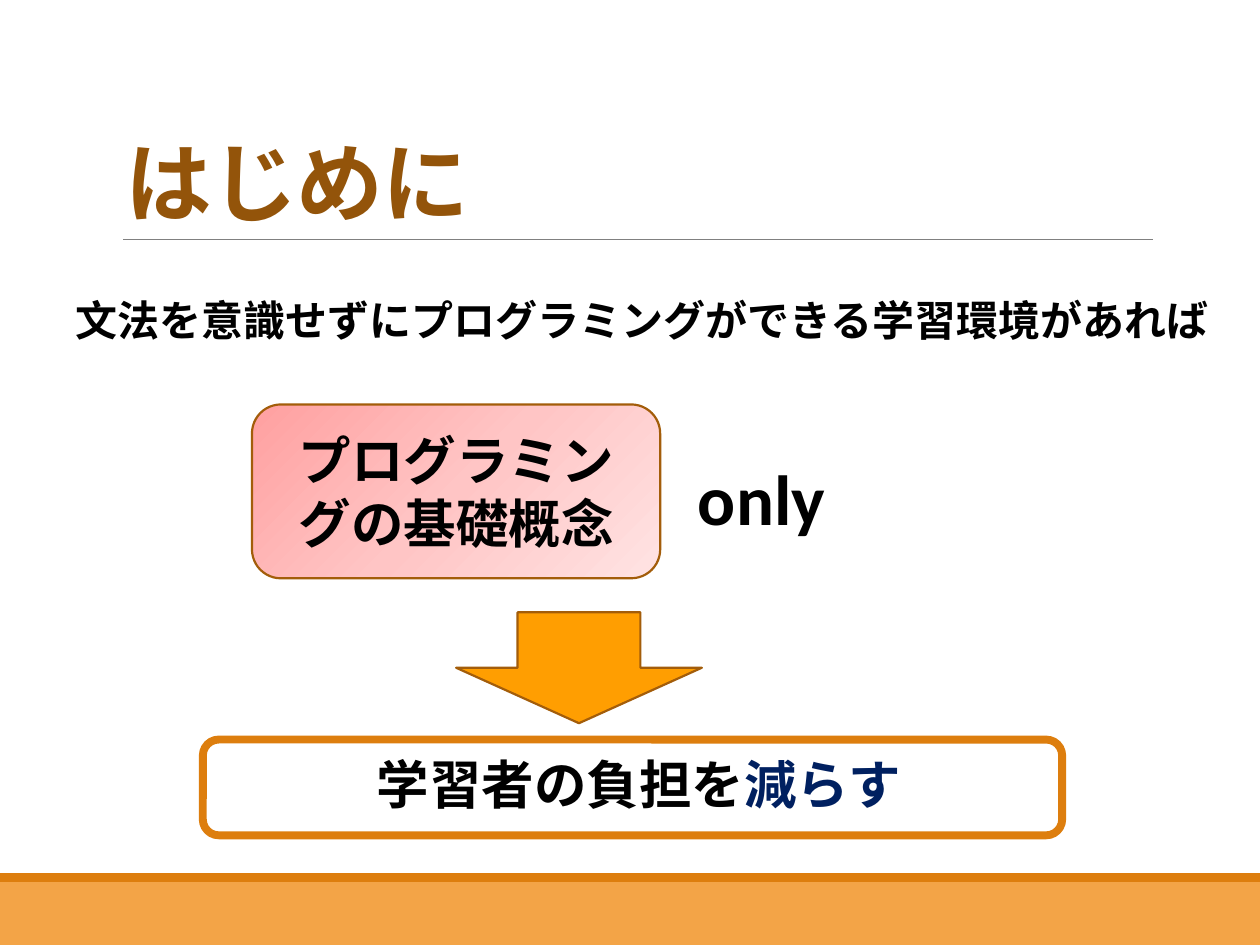
from copy import deepcopy
from typing import NamedTuple

from lxml.etree import SubElement
from pptx import Presentation
from pptx.dml.color import RGBColor
from pptx.enum.shapes import MSO_CONNECTOR, MSO_SHAPE as Shape
from pptx.enum.text import MSO_ANCHOR as Anchor, PP_ALIGN as Align
from pptx.oxml.ns import qn
from pptx.util import Inches, Pt

FONT = "Calibri"
BLACK, BROWN, ORANGE, NAVY = "000000", "A35D0A", "DD7E0E", "002060"


class Box(NamedTuple):
    left: float
    top: float
    width: float
    height: float


def rgb(value: str) -> RGBColor:
    return RGBColor.from_string(value)


def add_shape(s, kind, box: Box, fill=None, line=None, line_width=1.25):
    sp = s.shapes.add_shape(kind, *map(Inches, box))
    sp.shadow.inherit = False
    if fill:
        sp.fill.solid()
        sp.fill.fore_color.rgb = rgb(fill)
    if line:
        sp.line.color.rgb = rgb(line)
        sp.line.width = Pt(line_width)
    else:
        sp.line.fill.background()
    return sp


def set_gradient(sp, colors: list[str], angle: float) -> None:
    """Spread the colours evenly; the angle runs clockwise."""
    sp.fill.gradient()
    sp.fill.gradient_angle = 360 - angle
    first, last = sp.fill.gradient_stops
    stop_list = sp.fill._fill._gradFill.gsLst
    while len(stop_list) < len(colors):
        stop_list.insert(1, deepcopy(stop_list[0]))
    for i, (stop, color) in enumerate(zip(sp.fill.gradient_stops, colors)):
        stop.color.rgb = rgb(color)
        stop.position = i / (len(colors) - 1)


def write(sp, *runs: tuple[str, str], size, align=Align.LEFT, anchor=Anchor.MIDDLE,
          line_spacing=1.0, insets=(0.1, 0.05, 0.1, 0.05), wrap=True, tracking=0):
    """Fill a shape with one paragraph of (text, colour) runs."""
    tf = sp.text_frame
    tf.word_wrap = wrap
    tf.vertical_anchor = anchor
    (tf.margin_left, tf.margin_top,
     tf.margin_right, tf.margin_bottom) = map(Inches, insets)
    p = tf.paragraphs[0]
    p.alignment = align
    p.line_spacing = line_spacing
    for text, color in runs:
        r = p.add_run()
        r.text = text
        r.font.name = FONT
        r.font.size = Pt(size)
        r.font.bold = True
        r.font.color.rgb = rgb(color)
        if tracking:
            r.font._element.set("spc", str(int(tracking * 100)))


def add_text(s, box: Box, text: str, color=BLACK, **text_format) -> None:
    write(s.shapes.add_textbox(*map(Inches, box)), (text, color), **text_format)


def add_rule(s, left: float, right: float, y: float) -> None:
    rule = s.shapes.add_connector(MSO_CONNECTOR.STRAIGHT, Inches(left), Inches(y),
                                  Inches(right), Inches(y))
    rule.line.color.rgb = rgb("808080")
    rule.line.width = Pt(0.5)
    SubElement(rule._element.spPr, qn("a:effectLst"))


def main() -> None:
    prs = Presentation()
    prs.slide_width, prs.slide_height = Inches(10), Inches(7.5)
    s = prs.slides.add_slide(prs.slide_layouts[6])

    add_shape(s, Shape.RECTANGLE, Box(0, 7, 10, 0.5), "F3A447")
    add_shape(s, Shape.RECTANGLE, Box(0, 6.93, 10, 0.07), ORANGE)
    add_rule(s, 0.98, 9.15, 1.9)

    add_text(s, Box(0.9, 0.31, 8.25, 1.59), "はじめに", "93540A", size=49.5,
             anchor=Anchor.BOTTOM, line_spacing=0.85, tracking=-0.5)
    add_text(s, Box(0.6, 2.33, 9.4, 0.55),
             "文法を意識せずにプログラミングができる学習環境があれば", size=24,
             anchor=Anchor.TOP, line_spacing=0.9, insets=(0, 0.05, 0, 0.05))

    concept = add_shape(s, Shape.ROUNDED_RECTANGLE, Box(2, 3.21, 3.24, 1.38), line=BROWN)
    set_gradient(concept, ["FFA0A0", "FFC5C5", "FFE3E3"], 45)
    write(concept, ("プログラミングの基礎概念", BLACK), size=30, align=Align.CENTER)
    add_text(s, Box(5.46, 3.57, 1.17, 0.76), "only", size=40.5, align=Align.CENTER,
             anchor=Anchor.TOP, insets=(0.07, 0.04, 0.07, 0.04), wrap=False)

    add_shape(s, Shape.DOWN_ARROW, Box(3.62, 4.86, 1.95, 0.88), "FF9E01", BROWN)
    result = add_shape(s, Shape.ROUNDED_RECTANGLE, Box(1.61, 5.87, 6.82, 0.76),
                       "FFFFFF", ORANGE, 4.5)
    write(result, ("学習者の負担を", BLACK), ("減らす", NAVY), size=30,
          align=Align.CENTER, line_spacing=0.9, insets=(0.1, 0.05, 0, 0.05))

    prs.save("out.pptx")


if __name__ == "__main__":
    main()
